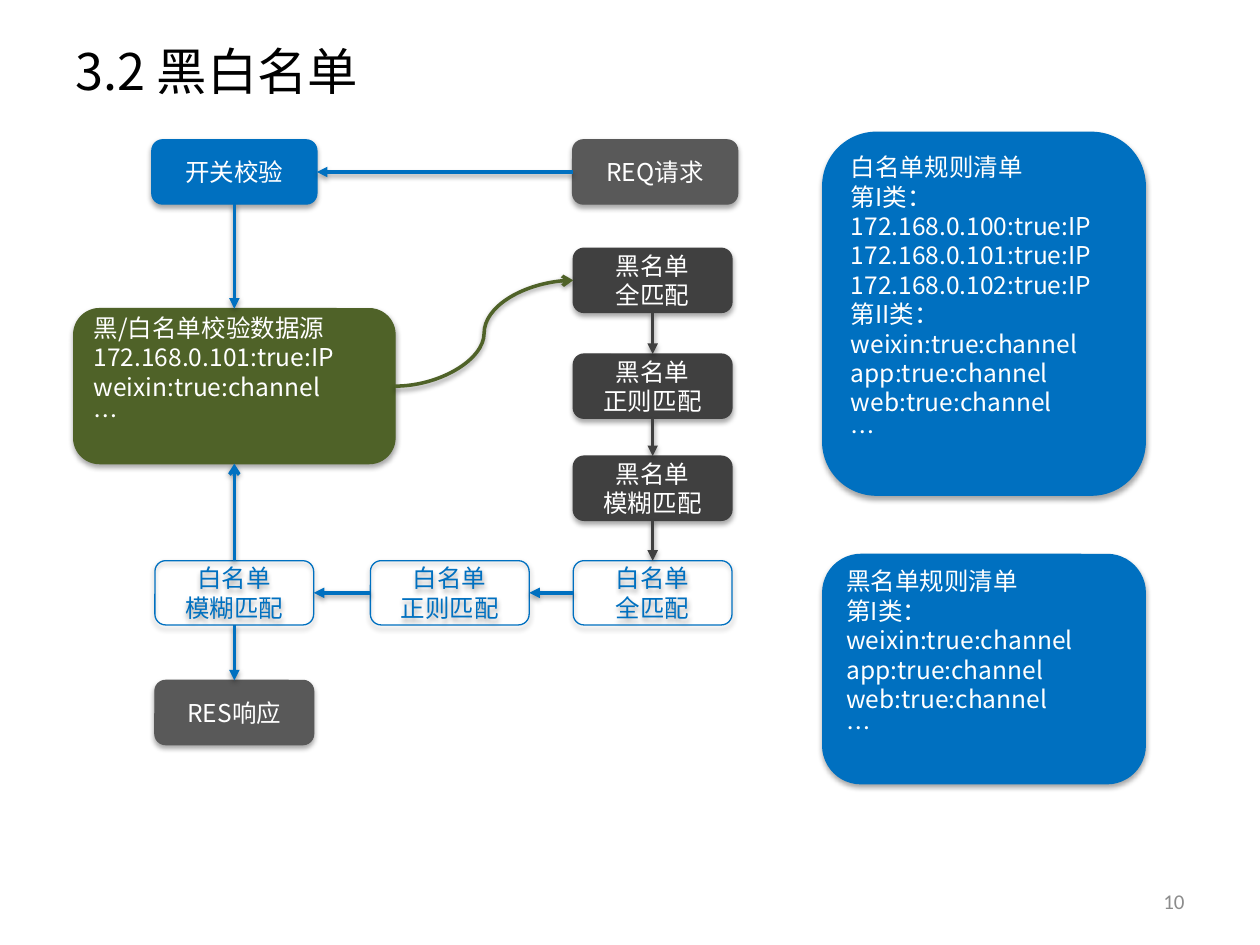
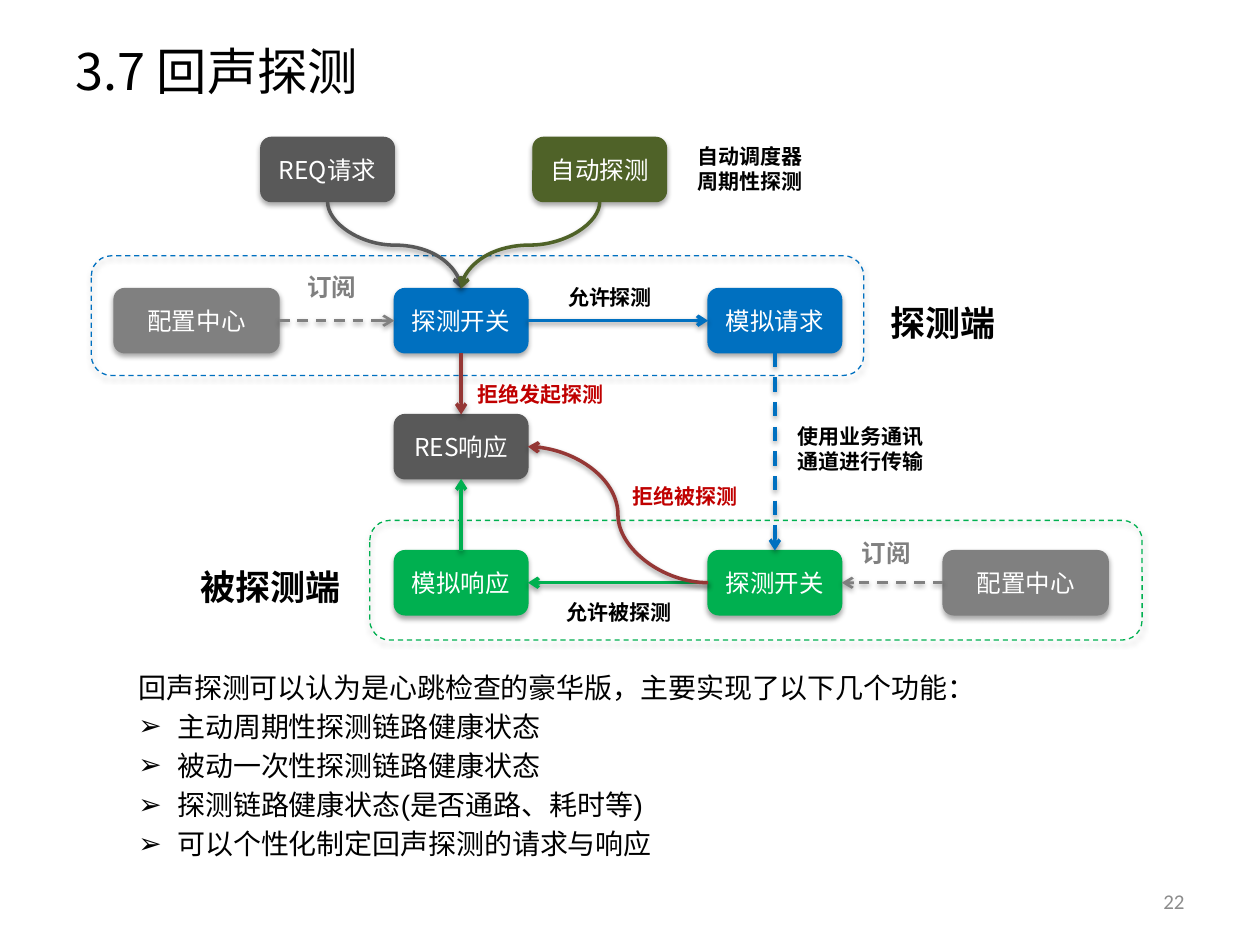
from lxml.etree import SubElement
from pptx import Presentation
from pptx.dml.color import RGBColor
from pptx.enum.dml import MSO_LINE
from pptx.enum.shapes import MSO_CONNECTOR, MSO_SHAPE
from pptx.enum.text import MSO_ANCHOR, PP_ALIGN
from pptx.oxml.ns import qn
from pptx.util import Inches, Pt

COLORS = {
    "blue": "0070C0", "green": "00B050", "olive": "4F6228", "gray": "808080",
    "slate": "595959", "dark": "404040", "brown": "953735", "red": "C00000",
    "black": "000000", "white": "FFFFFF", "number": "8C8C8C",
}
CJK = "Noto Sans CJK SC"
TOP, LEFT, BOTTOM, RIGHT = range(4)
BOX_H = 0.51
LINE_PITCH = 1.2

CHANNELS = ["weixin:true:channel", "app:true:channel", "web:true:channel", "…"]

# Boxes: name, lines, colour, column, row, width
# Links: from, side, to, side, colour, arrowhead, further format
LISTS = {
    "title": "3.2 黑白名单",
    "number": "10",
    "cols": {"left": 1.86, "mid": 3.57, "right": 5.18, "req": 5.2, "rules": 7.81},
    "rows": [1.11, 1.97, 2.81, 3.62, 4.45, 5.4],
    "boxes": [
        ("switch", ["开关校验"], "blue", "left", 0, 1.31),
        ("req", ["REQ请求"], "slate", "req", 0, 1.31),
        ("black full", ["黑名单", "全匹配"], "dark", "right", 1, 1.26),
        ("black regex", ["黑名单", "正则匹配"], "dark", "right", 2, 1.26),
        ("black fuzzy", ["黑名单", "模糊匹配"], "dark", "right", 3, 1.26),
        ("white full", ["白名单", "全匹配"], "hollow", "right", 4, 1.26),
        ("white regex", ["白名单", "正则匹配"], "hollow", "mid", 4, 1.26),
        ("white fuzzy", ["白名单", "模糊匹配"], "hollow", "left", 4, 1.26),
        ("res", ["RES响应"], "slate", "left", 5, 1.26),
    ],
    # name, lines, colour, column, top, width, height
    "panels": [
        ("source", ["黑/白名单校验数据源", "172.168.0.101:true:IP", CHANNELS[0], "…"],
         "olive", "left", 2.45, 2.55, 1.23),
        ("white rules", ["白名单规则清单", "第I类："]
         + [f"172.168.0.{host}:true:IP" for host in (100, 101, 102)]
         + ["第II类：", *CHANNELS], "blue", "rules", 1.05, 2.56, 2.88),
        ("black rules", ["黑名单规则清单", "第I类：", *CHANNELS],
         "blue", "rules", 4.4, 2.56, 1.82),
    ],
    "links": [
        ("req", LEFT, "switch", RIGHT, "blue", "triangle", {}),
        ("switch", BOTTOM, "source", TOP, "blue", "triangle", {}),
        ("source", RIGHT, "black full", LEFT, "olive", "arrow", {"curve": True}),
        ("black full", BOTTOM, "black regex", TOP, "dark", "triangle", {}),
        ("black regex", BOTTOM, "black fuzzy", TOP, "dark", "triangle", {}),
        ("black fuzzy", BOTTOM, "white full", TOP, "dark", "triangle", {}),
        ("white full", LEFT, "white regex", RIGHT, "blue", "triangle", {}),
        ("white regex", LEFT, "white fuzzy", RIGHT, "blue", "triangle", {}),
        ("white fuzzy", TOP, "source", BOTTOM, "blue", "arrow", {}),
        ("white fuzzy", BOTTOM, "res", TOP, "blue", "triangle", {}),
    ],
}

SUBSCRIBE = {"dash": True, "width": 1.5}
PROBE = {
    "title": "3.7 回声探测",
    "number": "22",
    "cols": {"config": 1.56, "req": 2.6, "switch": 3.66, "auto": 4.76,
             "mock": 6.15, "peer config": 8.14, "near": 3.79, "far": 6.0},
    "rows": [1.09, 2.29, 3.29, 4.37],
    "boxes": [
        ("req", ["REQ请求"], "slate", "req", 0, 1.06),
        ("auto", ["自动探测"], "olive", "auto", 0, 1.06),
        ("config", ["配置中心"], "gray", "config", 1, 1.31),
        ("switch", ["探测开关"], "blue", "switch", 1, 1.06),
        ("mock req", ["模拟请求"], "blue", "mock", 1, 1.06),
        ("res", ["RES响应"], "slate", "switch", 2, 1.06),
        ("mock res", ["模拟响应"], "green", "switch", 3, 1.06),
        ("peer switch", ["探测开关"], "green", "mock", 3, 1.06),
        ("peer config", ["配置中心"], "gray", "peer config", 3, 1.31),
    ],
    # column, top, colour
    "frames": [("near", 2.03, "blue"), ("far", 4.13, "green")],
    "links": [
        ("config", RIGHT, "switch", LEFT, "gray", "arrow", SUBSCRIBE),
        ("switch", RIGHT, "mock req", LEFT, "blue", "arrow", {}),
        ("mock req", BOTTOM, "peer switch", TOP, "blue", "arrow", {"dash": True}),
        ("peer switch", LEFT, "mock res", RIGHT, "green", "arrow", {}),
        ("peer switch", LEFT, "res", RIGHT, "brown", "arrow", {"curve": True}),
        ("switch", BOTTOM, "res", TOP, "brown", "arrow", {}),
        ("peer config", LEFT, "peer switch", RIGHT, "gray", "arrow", SUBSCRIBE),
        ("req", BOTTOM, "switch", TOP, "slate", "arrow", {"curve": True}),
        ("auto", BOTTOM, "switch", TOP, "olive", "arrow", {"curve": True}),
        ("mock res", TOP, "res", BOTTOM, "green", "arrow", {}),
    ],
    # lines, left, top, width, height, size, colour
    "labels": [
        (["订阅"], 2.34, 2.11, 0.59, 0.34, 14, "gray"),
        (["订阅"], 6.74, 4.22, 0.59, 0.34, 14, "gray"),
        (["拒绝发起探测"], 3.69, 2.98, 1.21, 0.3, 12, "red"),
        (["拒绝被探测"], 4.92, 3.79, 1.04, 0.3, 12, "red"),
        (["允许探测"], 4.41, 2.21, 0.88, 0.3, 12, "black"),
        (["允许被探测"], 4.4, 4.71, 1.04, 0.3, 12, "black"),
        (["使用业务通讯", "通道进行传输"], 6.23, 3.31, 1.21, 0.5, 12, "black"),
        (["自动调度器", "周期性探测"], 5.44, 1.09, 1.04, 0.5, 12, "black"),
        (["探测端"], 6.97, 2.34, 1.04, 0.44, 20, "black"),
        (["被探测端"], 1.49, 4.44, 1.32, 0.44, 20, "black"),
    ],
    "intro": "回声探测可以认为是心跳检查的豪华版，主要实现了以下几个功能：",
    "bullets": [
        "主动周期性探测链路健康状态",
        "被动一次性探测链路健康状态",
        "探测链路健康状态(是否通路、耗时等)",
        "可以个性化制定回声探测的请求与响应",
    ],
}


def rgb(name):
    return RGBColor.from_string(COLORS[name])


def write(tf, lines, size, color, align=PP_ALIGN.LEFT, bold=False, font=CJK):
    for i, line in enumerate(lines):
        p = tf.paragraphs[0] if i == 0 else tf.add_paragraph()
        p.alignment, p.line_spacing = align, Pt(size * LINE_PITCH)
        r = p.add_run()
        r.text = line
        for attr, value in {"size": Pt(size), "bold": bold, "name": font}.items():
            setattr(r.font, attr, value)
        r.font.color.rgb = rgb(color)
        SubElement(r._r.get_or_add_rPr(), qn("a:ea"), typeface=CJK)


def add_text(slide, lines, at, size, color, wrap=True, anchor=MSO_ANCHOR.TOP, **style):
    tf = slide.shapes.add_textbox(*map(Inches, at)).text_frame
    tf.word_wrap, tf.vertical_anchor = wrap, anchor
    write(tf, lines, size, color, **style)
    return tf


def add_shadow(sp, alpha, dist):
    effects = SubElement(sp._element.spPr, qn("a:effectLst"))
    shadow = SubElement(effects, qn("a:outerShdw"), blurRad=str(Pt(3.1)),
                        dist=str(Pt(dist)), dir="5400000", rotWithShape="0")
    color = SubElement(shadow, qn("a:srgbClr"), val=COLORS["black"])
    SubElement(color, qn("a:alpha"), val=str(alpha * 1000))


def add_box(slide, center, top, width, height, color, dash=False):
    """Rounded box around a column centre; "hollow" and dashed ones have no fill."""
    sp = slide.shapes.add_shape(MSO_SHAPE.ROUNDED_RECTANGLE,
                                *map(Inches, (center - width / 2, top, width, height)))
    if dash or color == "hollow":
        sp.fill.background()
    else:
        sp.fill.solid()
        sp.fill.fore_color.rgb = rgb(color)
    sp.line.color.rgb = rgb("blue" if color == "hollow" else color)
    sp.line.width = Pt(0.75)
    if dash:
        sp.line.dash_style = MSO_LINE.DASH
    add_shadow(sp, 35, 1.8)
    sp.text_frame.word_wrap = True
    sp.text_frame.vertical_anchor = MSO_ANCHOR.MIDDLE
    return sp


def turn_down(c):
    """Rotate a curve by a quarter so that it leaves its box downwards."""
    rightwards = c.end_x > c.begin_x
    mid_x, mid_y = c.left + c.width // 2, c.top + c.height // 2
    w, h = c.height, c.width
    c.left, c.top, c.width, c.height = mid_x - w // 2, mid_y - h // 2, w, h
    xfrm = c._element.spPr.find(qn("a:xfrm"))
    for key, value in {"rot": "5400000", "flipH": "0", "flipV": str(int(rightwards))}.items():
        xfrm.set(key, value)


def add_link(slide, start, side, end, end_side, color, head, curve=False, dash=False, width=2):
    kind = MSO_CONNECTOR.CURVE if curve else MSO_CONNECTOR.STRAIGHT
    c = slide.shapes.add_connector(kind, 0, 0, 0, 0)
    c.begin_connect(start, side)
    c.end_connect(end, end_side)
    if curve and side == BOTTOM:
        turn_down(c)
    c.line.color.rgb, c.line.width = rgb(color), Pt(width)
    if dash:
        c.line.dash_style = MSO_LINE.DASH
    SubElement(c.line._get_or_add_ln(), qn("a:tailEnd"), type=head)
    add_shadow(c, 38, 1.6)


def add_summary(slide, intro, bullets):
    tf = add_text(slide, [intro, *bullets], (0.5, 5.27, 9, 1.68), 16, "black", font="Arial")
    for i, p in enumerate(tf.paragraphs):
        pPr = p._p.get_or_add_pPr()
        pPr.set("marL", str(Inches(0.81 if i else 0.5)))
        if i:
            p.space_before = Pt(3.2)
            pPr.set("indent", str(Inches(-0.31)))
            SubElement(pPr, qn("a:buFont"), typeface="Arial")
            SubElement(pPr, qn("a:buChar"), char="➢")


def build(prs, data):
    slide = prs.slides.add_slide(prs.slide_layouts[6])
    add_text(slide, [data["title"]], (0.5, 0.3, 9, 0.51), 28.8, "black",
             anchor=MSO_ANCHOR.MIDDLE)
    add_text(slide, [data["number"]], (7.17, 6.95, 2.33, 0.4), 12, "number",
             anchor=MSO_ANCHOR.MIDDLE, align=PP_ALIGN.RIGHT, font="Calibri")
    cols, rows, shapes = data["cols"], data["rows"], {}
    for name, lines, color, col, row, width in data["boxes"]:
        sp = shapes[name] = add_box(slide, cols[col], rows[row], width, BOX_H, color)
        write(sp.text_frame, lines, 14, "blue" if color == "hollow" else "white",
              PP_ALIGN.CENTER)
    for name, lines, color, col, *place in data.get("panels", []):
        sp = shapes[name] = add_box(slide, cols[col], *place, color)
        sp.text_frame.margin_bottom = Inches(0.28)
        write(sp.text_frame, lines, 14, "white")
    for col, top, color in data.get("frames", []):
        add_box(slide, cols[col], top, 6.13, 0.95, color, dash=True)
    for start, side, end, end_side, color, head, extra in data["links"]:
        add_link(slide, shapes[start], side, shapes[end], end_side, color, head, **extra)
    for lines, *at, size, color in data.get("labels", []):
        add_text(slide, lines, at, size, color, wrap=False, bold=True)
    if "intro" in data:
        add_summary(slide, data["intro"], data["bullets"])


def main():
    prs = Presentation()
    prs.slide_width, prs.slide_height = Inches(10), Inches(7.5)
    for data in (LISTS, PROBE):
        build(prs, data)
    prs.save("out.pptx")


if __name__ == "__main__":
    main()
